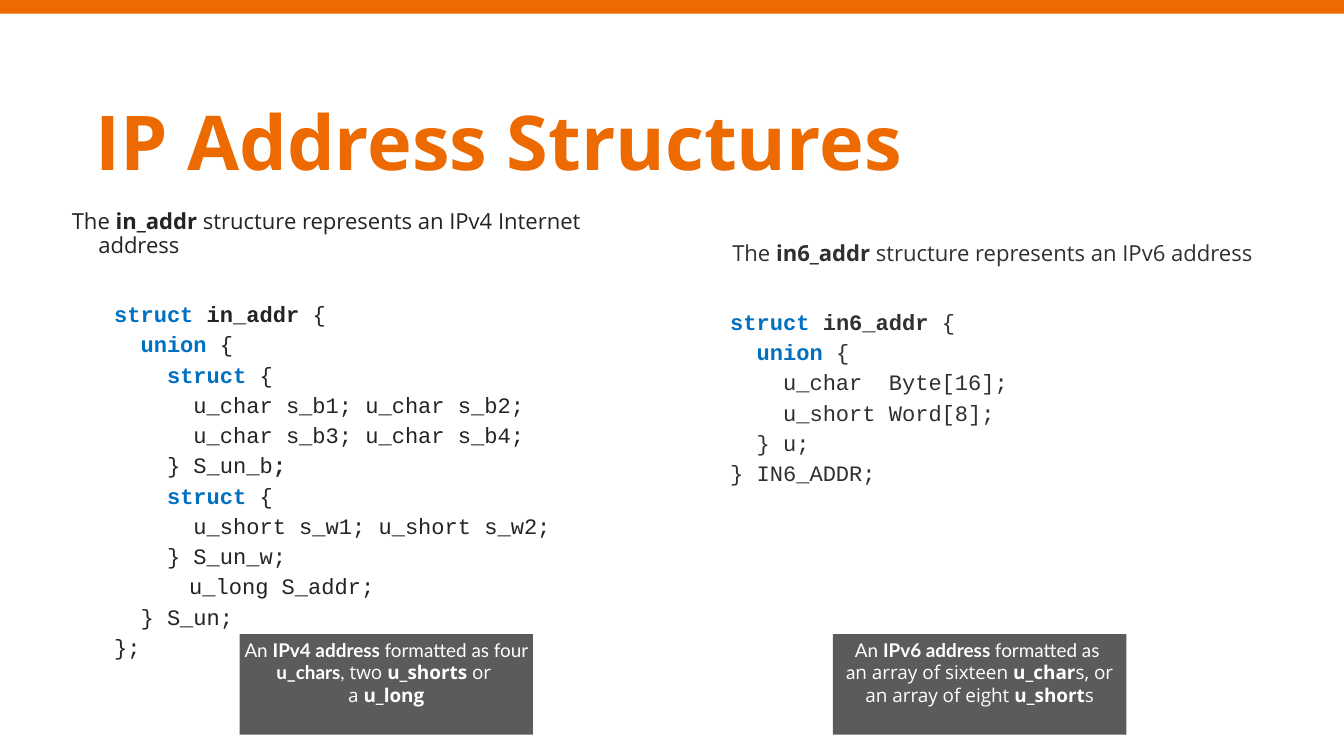
"""Build the slide on IPv4 and IPv6 address structures."""
from lxml.etree import SubElement
from pptx import Presentation
from pptx.dml.color import RGBColor as RGB
from pptx.enum.shapes import MSO_SHAPE as SHAPE
from pptx.enum.text import MSO_ANCHOR as ANCHOR, MSO_AUTO_SIZE as FIT, PP_ALIGN as ALIGN
from pptx.oxml.ns import qn
from pptx.util import Pt

HUES = {"brand": "ED6A00", "key": "0070C0", "left": "242424",
        "right": "303030", "note": "5B5B5B", "white": "FFFFFF"}
SANS, MONO, LATO = "Open Sans", "Courier New", "Lato"

INTRO4 = [("The ", ""), ("in_addr", "b"), (" structure represents an IPv4 Internet address", "")]
CODE4 = [
    [("struct", "k"), (" in_addr ", "b"), ("{", "")],
    [("  ", ""), ("union", "k"), (" {", "")],
    [("    ", ""), ("struct", "k"), (" {", "")],
    [("      u_char s_b1; u_char s_b2;", "")],
    [("      u_char s_b3; u_char s_b4;", "")],
    [("    } S_un_b", ""), (";", "b")],
    [("    ", ""), ("struct", "k"), (" {", "")],
    [("      u_short s_w1; u_short s_w2;", "")],
    [("    } S_un_w;", "")],
    [("u_long S_addr;", "")],
    [("  } S_un;", "")],
    [("};", "")],
]
INTRO6 = [("The ", ""), ("in6_addr ", "b"), ("structure represents an IPv6 address", "")]
CODE6 = [
    [("struct", "k"), (" in6_addr ", "b"), ("{", "")],
    [("  ", ""), ("union", "k"), (" {", "")],
    [("    u_char  Byte[16];", "")],
    [("    u_short Word[8];", "")],
    [("  } u;", "")],
    [("} IN6_ADDR;", "")],
]
NOTE4 = [
    [("An ", ""), ("IPv4 address ", "b"), ("formatted as four ", ""), ("u_chars", "b"),
     (", ", ""), ("two ", "o"), ("u_shorts", "bo"), (" or ", "o")],
    [("a ", "o"), ("u_long", "bo")],
]
NOTE6 = [
    [("An ", ""), ("IPv6 address ", "b"), ("formatted as ", "")],
    [("a", ""), ("n array of sixteen ", "o"), ("u_char", "bo"), ("s, or", "o")],
    [("an array of eight ", "o"), ("u_short", "bo"), ("s", "o")],
]


def tint(name):
    return RGB.from_string(HUES[name])


def place(shape, x, y, w, h):
    shape.left, shape.top, shape.width, shape.height = Pt(x), Pt(y), Pt(w), Pt(h)


def set_frame(frame, anchor, pad, top):
    frame.word_wrap = True
    frame.auto_size = FIT.NONE
    frame.vertical_anchor = anchor
    frame.margin_left = frame.margin_right = frame.margin_bottom = Pt(pad)
    frame.margin_top = Pt(top)


def set_font(font, face, size, hue, bold=None):
    font.name, font.size, font.bold = face, Pt(size), bold
    font.color.rgb = tint(hue)


def add_para(frame, first):
    return frame.paragraphs[0] if first else frame.add_paragraph()


def add_runs(para, runs):
    for text, style in runs:
        run = para.add_run()
        run.text = text
        if "b" in style or "k" in style:
            run.font.bold = True
        if "k" in style:
            run.font.color.rgb = tint("key")
        if "o" in style:
            run.font.name = SANS


def set_para(para, margin, indent, gap):
    props = para._p.get_or_add_pPr()
    props.set("marL", str(Pt(margin)))
    props.set("indent", str(Pt(indent)))
    para.line_spacing = Pt(22.8)
    para.space_before, para.space_after = Pt(gap), Pt(0)
    SubElement(props, qn("a:buNone"))


def fill_body(body, x, top, intro, code, hue, hang):
    place(body, x, 200.2, 565.2, 426.2)
    frame = body.text_frame
    set_frame(frame, ANCHOR.TOP, 4.3, top)
    para = add_para(frame, True)
    set_para(para, *hang, 0)
    para.alignment = ALIGN.LEFT
    set_font(para.font, SANS, 21, hue)
    add_runs(para, intro)
    for row, runs in enumerate(code):
        para = add_para(frame, False)
        para.level = 1
        deep = runs[0][0].startswith("u_long")
        set_para(para, 25.2, 86.6 if deep else 15.1, 6 if row else 43)
        set_font(para.font, MONO, 21, hue)
        add_runs(para, runs)


def add_rect(slide, x, y, w, h, hue):
    rect = slide.shapes.add_shape(SHAPE.RECTANGLE, Pt(x), Pt(y), Pt(w), Pt(h))
    rect.shadow.inherit = False
    rect.fill.solid()
    rect.fill.fore_color.rgb = tint(hue)
    rect.line.fill.background()
    return rect


def add_note(slide, x, lines):
    frame = add_rect(slide, x, 604, 279.4, 95.8, "note").text_frame
    set_frame(frame, ANCHOR.TOP, 3.6, 3.6)
    for row, runs in enumerate(lines):
        para = add_para(frame, row == 0)
        para.alignment = ALIGN.CENTER
        para.line_spacing = Pt(21.8)
        set_font(para.font, LATO, 18, "white")
        add_runs(para, runs)


def set_title(title, text):
    place(title, 90.7, 66.2, 1097.3, 133.9)
    set_frame(title.text_frame, ANCHOR.MIDDLE, 0, 0)
    para = title.text_frame.paragraphs[0]
    para.text = text
    para.alignment = ALIGN.LEFT
    set_font(para.font, SANS, 72, "brand", True)


def main():
    deck = Presentation()
    deck.slide_width, deck.slide_height = Pt(1280.16), Pt(720)
    slide = deck.slides.add_slide(deck.slide_layouts[3])
    title, left, right = slide.placeholders
    add_rect(slide, -0.7, -0.7, 1282.3, 13.7, "brand")
    set_title(title, "IP Address Structures")
    fill_body(left, 64.1, 0, INTRO4, CODE4, "left", (25.2, -25.2))
    fill_body(right, 650.9, 30, INTRO6, CODE6, "right", (42.3, 0))
    add_note(slide, 228.2, NOTE4)
    add_note(slide, 793.4, NOTE6)
    deck.save("out.pptx")


if __name__ == "__main__":
    main()
